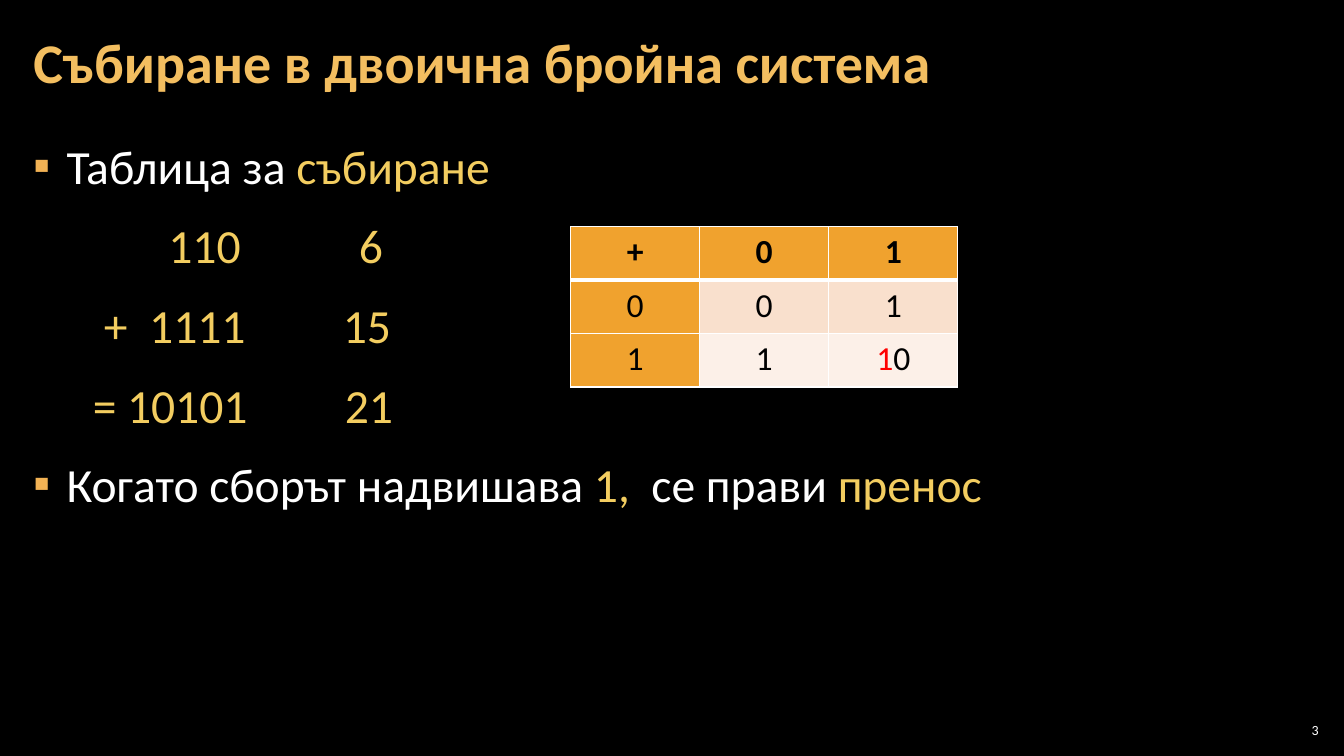
import pptx
import pptx.util
import pptx.dml.color
import pptx.enum.text
import pptx.oxml
import pptx.oxml.ns

Inch = pptx.util.Inches
Pt = pptx.util.Pt
RGB = pptx.dml.color.RGBColor
Align = pptx.enum.text.PP_ALIGN
Mid = pptx.enum.text.MSO_ANCHOR.MIDDLE

BLACK = RGB(0x00, 0x00, 0x00)
WHITE = RGB(0xFF, 0xFF, 0xFF)
GOLD = RGB(0xF3, 0xBE, 0x60)
SAND = RGB(0xF3, 0xCD, 0x60)
MARK = RGB(0xF2, 0xB2, 0x54)
AMBER = RGB(0xF0, 0xA2, 0x2E)
PEACH = RGB(0xF9, 0xE0, 0xCD)
CREAM = RGB(0xFC, 0xF0, 0xE8)
RED = RGB(0xFF, 0x00, 0x00)

TITLE = "Събиране в двоична бройна система"
LINES = [
    {"runs": [("Таблица за ", WHITE), ("събиране", SAND)]},
    {"runs": [("\t110\t6", SAND)], "tabs": (1.34, 3.23)},
    {"runs": [("\t+\t1111\t15", SAND)], "tabs": (0.7, 1.15, 3.07)},
    {"runs": [("\t=\t10101\t21", SAND)], "tabs": (0.59, 0.93, 3.09)},
    {"runs": [("Когато сборът надвишава ", WHITE), ("1,  ", SAND),
              ("се прави ", WHITE), ("пренос", SAND)]},
]
SUMS = [
    [[("+", BLACK)], [("0", BLACK)], [("1", BLACK)]],
    [[("0", BLACK)], [("0", BLACK)], [("1", BLACK)]],
    [[("1", BLACK)], [("1", BLACK)], [("1", RED), ("0", BLACK)]],
]
BANDS = [AMBER, PEACH, CREAM]
PAGE = "3"

WIDE, HIGH = 13.33, 7.5
EDGE = 0.21
SPAN = WIDE - 2 * EDGE
COL, ROW = 1.28, 0.53
HANG = 0.33

HEAD = {"size": Pt(40), "bold": True}
BODY = {"size": Pt(34)}
CELL = {"size": Pt(24)}
FOOT = {"size": Pt(10)}
INSET = {"margin_left": Inch(0.12), "margin_right": Inch(0.12),
         "margin_top": Inch(0.04), "margin_bottom": Inch(0.04),
         "word_wrap": True, "auto_size": pptx.enum.text.MSO_AUTO_SIZE.NONE}
SMALL = {**INSET, "margin_left": Inch(0.04), "margin_right": Inch(0.04),
         "vertical_anchor": Mid}


def apply(item, form):
    for key, val in form.items():
        setattr(item, key, val)


def write(para, runs, form):
    for text, tint in runs:
        run = para.add_run()
        run.text = text
        apply(run.font, {"name": "Calibri", **form})
        run.font.color.rgb = tint


def add_xml(home, text):
    space = pptx.oxml.ns.nsdecls("a")
    home.append(pptx.oxml.parse_xml(text.replace(" ", f" {space} ", 1)))


def add_mark(para):
    props = para._p.get_or_add_pPr()
    props.set("marL", str(Inch(HANG)))
    props.set("indent", str(-Inch(HANG)))
    add_xml(props, f'<a:buClr ><a:srgbClr val="{MARK}"/></a:buClr>')
    add_xml(props, '<a:buFont typeface="Wingdings"/>'.replace("Wingdings", "Calibri"))
    add_xml(props, '<a:buChar char="▪"/>')


def add_tabs(para, stops):
    marks = "".join(f'<a:tab pos="{Inch(stop)}" algn="l"/>' for stop in stops)
    add_xml(para._p.get_or_add_pPr(), f"<a:tabLst >{marks}</a:tabLst>")


def add_edges(cell, first):
    props = cell._tc.get_or_add_tcPr()
    for side in "LRTB":
        thick = 3 if (side == "B" and first == 0) or (side == "T" and first == 1) else 1
        add_xml(props, f'<a:ln{side} w="{Pt(thick)}"><a:solidFill>'
                       f'<a:srgbClr val="{WHITE}"/></a:solidFill></a:ln{side}>')


def add_box(slide, *place):
    return slide.shapes.add_textbox(*map(Inch, place)).text_frame


def add_title(slide):
    title = slide.shapes.title
    apply(title, {"left": Inch(EDGE), "top": Inch(0.04),
                  "width": Inch(SPAN), "height": Inch(1.21)})
    apply(title.text_frame, {**INSET, "vertical_anchor": Mid})
    para = title.text_frame.paragraphs[0]
    apply(para, {"alignment": Align.LEFT, "line_spacing": 0.9})
    write(para, [(TITLE, GOLD)], HEAD)


def add_body(slide):
    frame = add_box(slide, EDGE, 1.26, SPAN, 6.09)
    apply(frame, INSET)
    for num, line in enumerate(LINES):
        para = frame.add_paragraph() if num else frame.paragraphs[0]
        apply(para, {"line_spacing": 1.1, "space_after": Pt(6),
                     "space_before": Pt(6 if num else 0)})
        if "tabs" in line:
            add_tabs(para, line["tabs"])
        else:
            add_mark(para)
        write(para, line["runs"], BODY)


def add_sums(slide):
    count = len(SUMS)
    place = map(Inch, (5.66, 2.25, count * COL, count * ROW))
    table = slide.shapes.add_table(count, count, *place).table
    table.horz_banding = False
    for row, line in enumerate(SUMS):
        table.rows[row].height = Inch(ROW)
        table.columns[row].width = Inch(COL)
        for col, runs in enumerate(line):
            cell = table.cell(row, col)
            add_edges(cell, row)
            cell.fill.solid()
            cell.fill.fore_color.rgb = BANDS[row] if col else AMBER
            para = cell.text_frame.paragraphs[0]
            para.alignment = Align.CENTER
            write(para, runs, {**CELL, "bold": row == 0})


def add_page(slide):
    frame = add_box(slide, 12.65, 7.14, 0.47, 0.21)
    apply(frame, SMALL)
    para = frame.paragraphs[0]
    para.alignment = Align.RIGHT
    write(para, [(PAGE, WHITE)], FOOT)


def main():
    deck = pptx.Presentation()
    apply(deck, {"slide_width": Inch(WIDE), "slide_height": Inch(HIGH)})
    slide = deck.slides.add_slide(deck.slide_layouts[5])
    slide.background.fill.solid()
    slide.background.fill.fore_color.rgb = BLACK
    for add in (add_body, add_title, add_sums, add_page):
        add(slide)
    deck.save("out.pptx")


if __name__ == "__main__":
    main()
